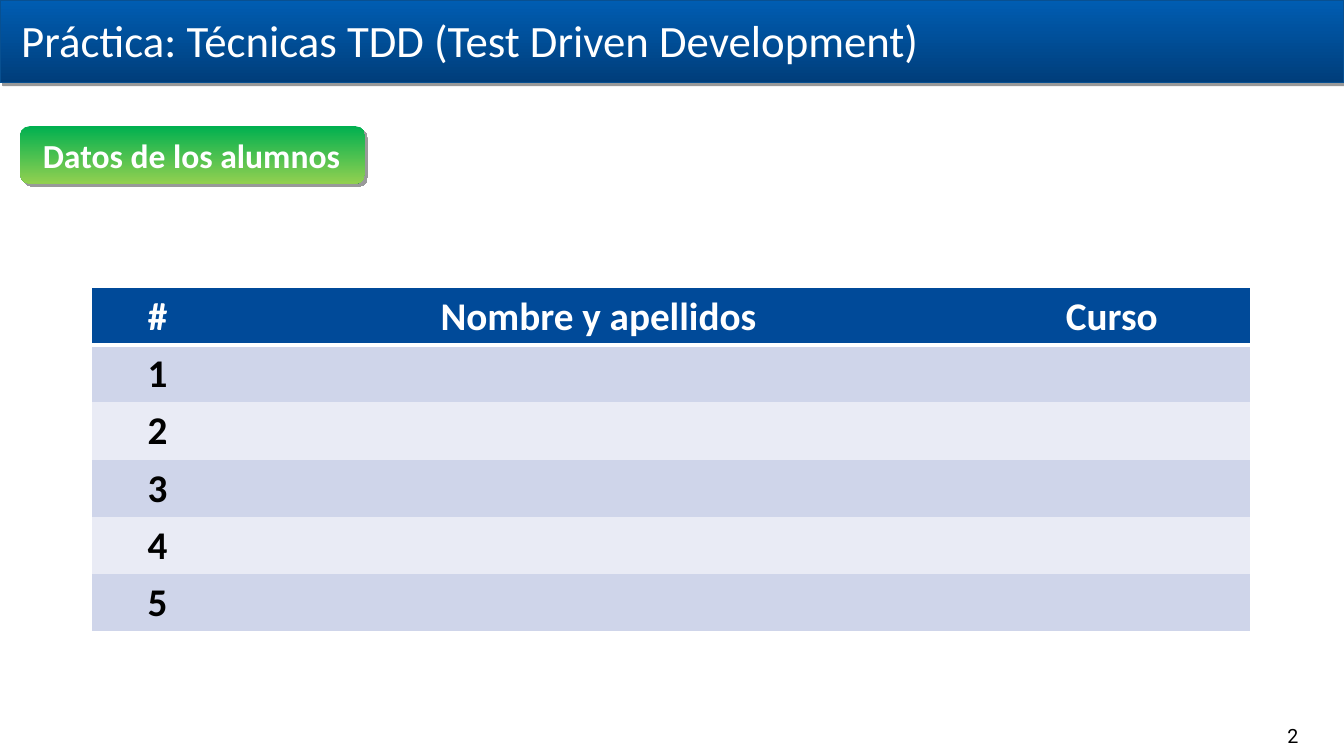
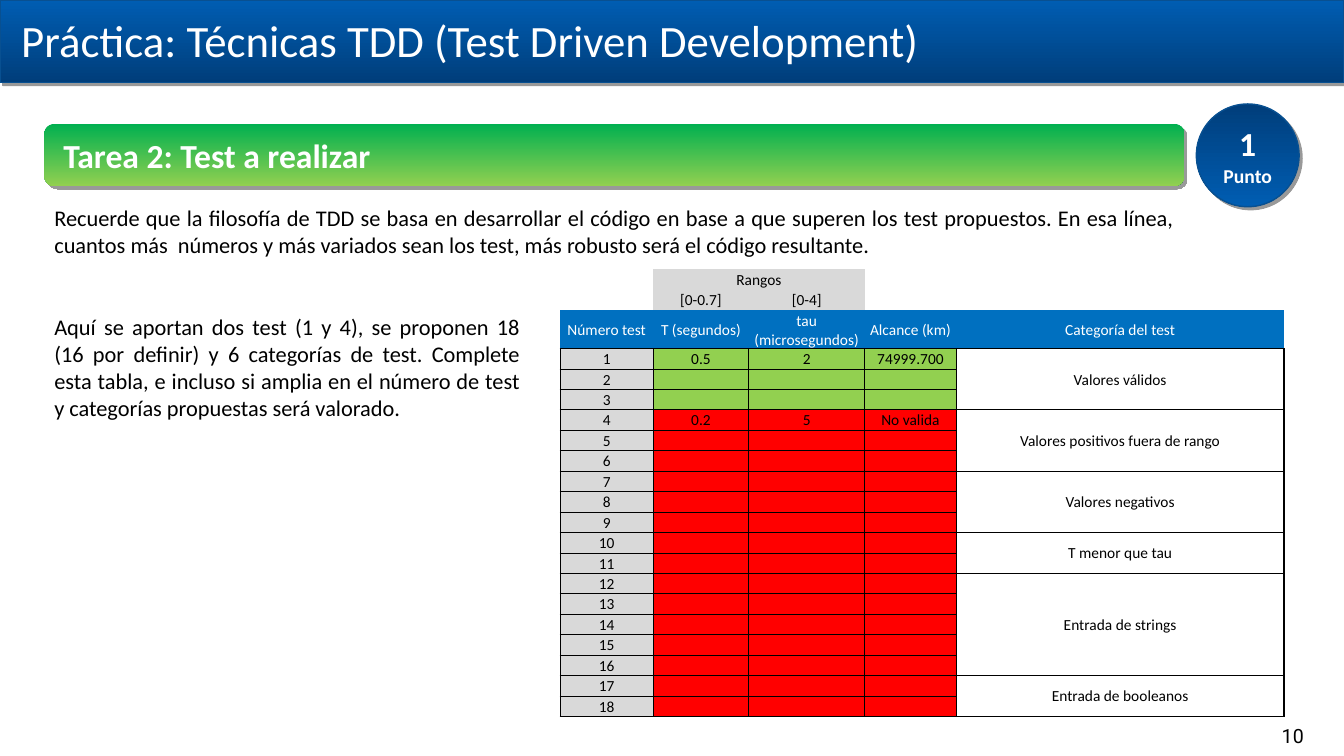
from lxml import etree
from pptx import Presentation
from pptx.dml.color import RGBColor
from pptx.enum.shapes import MSO_SHAPE
from pptx.enum.text import MSO_ANCHOR, MSO_AUTO_SIZE, PP_ALIGN
from pptx.oxml.ns import qn
from pptx.util import Cm, Pt

RECTANGLE = MSO_SHAPE.RECTANGLE
ROUNDED = MSO_SHAPE.ROUNDED_RECTANGLE
OVAL = MSO_SHAPE.OVAL
LEFT, CENTER, JUSTIFY = PP_ALIGN.LEFT, PP_ALIGN.CENTER, PP_ALIGN.JUSTIFY
TOP, MIDDLE = MSO_ANCHOR.TOP, MSO_ANCHOR.MIDDLE
NO_AUTOFIT = MSO_AUTO_SIZE.NONE

FONT = "Calibri"
NUMBER_FONT = "Roboto"
WHITE, BLACK = "FFFFFF", "000000"
DARK_BLUE, LIGHT_BLUE, BLUE_LINE = "003E7B", "005DB2", "085091"
DARK_GREEN, LIGHT_GREEN = "00B050", "92D050"
HEADER_BLUE, TEST_BLUE = "004A99", "0070C0"
BAND_COLORS = ("CFD5EA", "E9EBF5")
GRAY, RED = "D9D9D9", "FF0000"
PLAIN_TABLE_STYLE = "{2D5ABB26-0587-4C30-8999-92F81FD0307C}"

TITLE = "Práctica: Técnicas TDD (Test Driven Development)"
TEST_HEADERS = ["Número test", "T (segundos)", "tau (microsegundos)",
                "Alcance (km)", "Categoría del test"]
# Category, number of tests, fill of its tests
CATEGORIES = [
    ("Valores válidos", 3, LIGHT_GREEN),
    ("Valores positivos fuera de rango", 3, RED),
    ("Valores negativos", 3, RED),
    ("T menor que tau", 2, RED),
    ("Entrada de strings", 5, RED),
    ("Entrada de booleanos", 2, RED),
]
KNOWN_TESTS = {1: ("0.5", "2", "74999.700"), 4: ("0.2", "5", "No valida")}


def rgb(color):
    return RGBColor.from_string(color)


def format_paragraph(paragraph, size, color, bold=False, align=LEFT, font=FONT):
    paragraph.alignment = align
    paragraph.font.name = font
    paragraph.font.size = Pt(size)
    paragraph.font.bold = bold
    paragraph.font.color.rgb = rgb(color)


def add_gradient_shape(slide, kind, box, top_color, bottom_color, line=None):
    """Add a shape with a vertical gradient and a hard shadow to the lower right."""
    shape = slide.shapes.add_shape(kind, *map(Cm, box))
    shape.fill.gradient()
    shape.fill.gradient_angle = 270
    for stop, color in zip(shape.fill.gradient_stops, (top_color, bottom_color)):
        stop.color.rgb = rgb(color)
    if line:
        shape.line.color.rgb = rgb(line)
        shape.line.width = Pt(1)
    else:
        shape.line.fill.background()
    shape.shadow.inherit = False
    effects = shape._element.spPr.find(qn("a:effectLst"))
    shadow = etree.SubElement(effects, qn("a:outerShdw"), blurRad="0",
                              dist=str(Pt(3)), dir="2700000", algn="tl",
                              rotWithShape="0")
    shadow_color = etree.SubElement(shadow, qn("a:srgbClr"), val=BLACK)
    etree.SubElement(shadow_color, qn("a:alpha"), val="40000")
    return shape


def add_text(slide, box, text, size, align, font=FONT):
    frame = slide.shapes.add_textbox(*map(Cm, box)).text_frame
    frame.word_wrap = True
    frame.text = text
    format_paragraph(frame.paragraphs[0], size, BLACK, align=align, font=font)


def add_heading(slide, box, text, indent):
    heading = add_gradient_shape(slide, ROUNDED, box, DARK_GREEN, LIGHT_GREEN)
    frame = heading.text_frame
    frame.word_wrap = False
    frame.margin_left, frame.margin_right = Cm(indent), 0
    frame.vertical_anchor = MIDDLE
    frame.text = text
    format_paragraph(frame.paragraphs[0], 24, WHITE, bold=True)


def add_points_badge(slide, box, points, unit):
    badge = add_gradient_shape(slide, OVAL, box, DARK_BLUE, LIGHT_BLUE, BLUE_LINE)
    frame = badge.text_frame
    frame.margin_left = frame.margin_right = 0
    frame.vertical_anchor = MIDDLE
    frame.text = f"{points}\n{unit}"
    for paragraph, size in zip(frame.paragraphs, (24, 14)):
        format_paragraph(paragraph, size, WHITE, bold=True, align=CENTER)


def add_base_slide(presentation, number):
    """Add a slide with the shared title band and page number."""
    slide = presentation.slides.add_slide(presentation.slide_layouts[5])
    title = slide.shapes.title
    title.left, title.top, title.width, title.height = map(
        Cm, (0.28, 0.18, 32.08, 1.63))
    frame = title.text_frame
    frame.text = TITLE
    frame.auto_size = NO_AUTOFIT
    frame.vertical_anchor = MIDDLE
    format_paragraph(frame.paragraphs[0], 32, WHITE)
    band = add_gradient_shape(slide, RECTANGLE, (0, 0, 33.87, 2.08),
                              LIGHT_BLUE, DARK_BLUE, BLUE_LINE)
    title._element.addprevious(band._element)
    add_text(slide, (31.55, 18.11, 2.06, 0.86), str(number), 14, CENTER, NUMBER_FONT)
    return slide


def add_plain_table(slide, left, top, widths, heights):
    """Add a table without style; left, top and widths are in cm."""
    frame = slide.shapes.add_table(len(heights), len(widths), Cm(left), Cm(top),
                                   Cm(sum(widths)), sum(heights))
    table = frame.table
    table.first_row = table.horz_banding = False
    table._tbl.tblPr.find(qn("a:tableStyleId")).text = PLAIN_TABLE_STYLE
    for column, width in zip(table.columns, widths):
        column.width = Cm(width)
    for row, height in zip(table.rows, heights):
        row.height = height
    return table


def set_cell(cell, text, size, fill=None, color=BLACK, bold=False, anchor=TOP):
    if fill:
        cell.fill.solid()
        cell.fill.fore_color.rgb = rgb(fill)
    cell.vertical_anchor = anchor
    cell.text = text
    paragraph = cell.text_frame.paragraphs[0]
    format_paragraph(paragraph, size, color, bold, CENTER)
    if not text:
        paragraph._p.get_or_add_endParaRPr().set("sz", str(size * 100))


def set_borders(cell, color, **widths):
    """Draw borders; widths are points under the keys L, R, T and B."""
    properties = cell._tc.get_or_add_tcPr()
    edges = [edge for edge in "LRTB" if edge in widths]
    for position, edge in enumerate(edges):
        line = etree.Element(qn(f"a:ln{edge}"), w=str(Pt(widths[edge])))
        fill = etree.SubElement(line, qn("a:solidFill"))
        etree.SubElement(fill, qn("a:srgbClr"), val=color)
        properties.insert(position, line)


def set_test_cell(cell, text, fill=None, color=BLACK):
    cell.margin_left = cell.margin_right = cell.margin_top = Cm(0.03)
    cell.margin_bottom = 0
    set_cell(cell, text, 11, fill, color, anchor=MIDDLE)


def add_students_table(slide, count):
    table = add_plain_table(slide, 2.31, 7.26, (3.32, 18.9, 6.98),
                            [Cm(1.44)] * (count + 1))
    for column, header in enumerate(("#", "Nombre y apellidos", "Curso")):
        cell = table.cell(0, column)
        set_cell(cell, header, 28, HEADER_BLUE, WHITE, bold=True)
        set_borders(cell, WHITE, B=3)
        for row in range(1, count + 1):
            text = str(row) if column == 0 else ""
            set_cell(table.cell(row, column), text, 28,
                     BAND_COLORS[(row - 1) % 2], bold=True)


def add_category(table, first_row, first_test, category, count, fill):
    """Fill the rows of one category and merge its name cell."""
    for offset in range(count):
        row, test = first_row + offset, first_test + offset
        values = (str(test), *KNOWN_TESTS.get(test, ("", "", "")))
        for column, value in enumerate(values):
            cell = table.cell(row, column)
            set_test_cell(cell, value, fill if column else GRAY)
            set_borders(cell, BLACK, L=0.5 if column else 1, R=0.5,
                        T=0.5 if offset else 1,
                        B=1 if offset == count - 1 else 0.5)
    name_cell = table.cell(first_row, 4)
    last_cell = table.cell(first_row + count - 1, 4)
    for row in range(first_row, first_row + count):
        set_test_cell(table.cell(row, 4), "")
    name_cell.merge(last_cell)
    set_test_cell(name_cell, category)
    set_borders(name_cell, BLACK, L=0.5, R=1, T=1, B=1)


def add_tests_table(slide):
    test_count = sum(count for _, count, _ in CATEGORIES)
    test_height = Cm(9.27) // test_count
    heights = [Cm(0.52), Cm(0.52), Cm(0.93)] + [test_height] * test_count
    table = add_plain_table(slide, 14.12, 6.78, (2.34, 2.41, 2.92, 2.31, 8.26),
                            heights)
    ranges = (["", "Rangos", "", "", ""], ["", "[0-0.7]", "[0-4]", "", ""])
    for row, texts in enumerate(ranges):
        for column, text in enumerate(texts):
            set_test_cell(table.cell(row, column), text,
                          GRAY if column in (1, 2) else None)
    table.cell(0, 1).merge(table.cell(0, 2))
    for column, header in enumerate(TEST_HEADERS):
        cell = table.cell(2, column)
        set_test_cell(cell, header, TEST_BLUE, WHITE)
        set_borders(cell, BLACK, B=1)
    first_test = 1
    for category, count, fill in CATEGORIES:
        add_category(table, first_test + 2, first_test, category, count, fill)
        first_test += count


def add_students_slide(presentation):
    slide = add_base_slide(presentation, 2)
    add_students_table(slide, 5)
    add_heading(slide, (0.51, 3.18, 8.69, 1.45), "Datos de los alumnos", 0.5)


def add_tests_slide(presentation):
    slide = add_base_slide(presentation, 10)
    add_heading(slide, (1.12, 3.12, 28.73, 1.57), "Tarea 2: Test a realizar", 0.4)
    add_text(slide, (1.12, 5.03, 28.73, 1.63),
             "Recuerde que la filosofía de TDD se basa en desarrollar el código en "
             "base a que superen los test propuestos. En esa línea, cuantos más  "
             "números y más variados sean los test, más robusto será el código "
             "resultante.", 16, JUSTIFY)
    add_tests_table(slide)
    add_points_badge(slide, (30.15, 2.62, 2.59, 2.59), 1, "Punto")
    add_text(slide, (1.12, 7.77, 12.24, 3),
             "Aquí se aportan dos test (1 y 4), se proponen 18 (16 por definir) y 6 "
             "categorías de test. Complete esta tabla, e incluso si amplia en el "
             "número de test y categorías propuestas será valorado.", 16, JUSTIFY)


def main():
    presentation = Presentation()
    presentation.slide_width = Cm(33.87)
    presentation.slide_height = Cm(19.05)
    add_students_slide(presentation)
    add_tests_slide(presentation)
    presentation.save("out.pptx")


if __name__ == "__main__":
    main()
